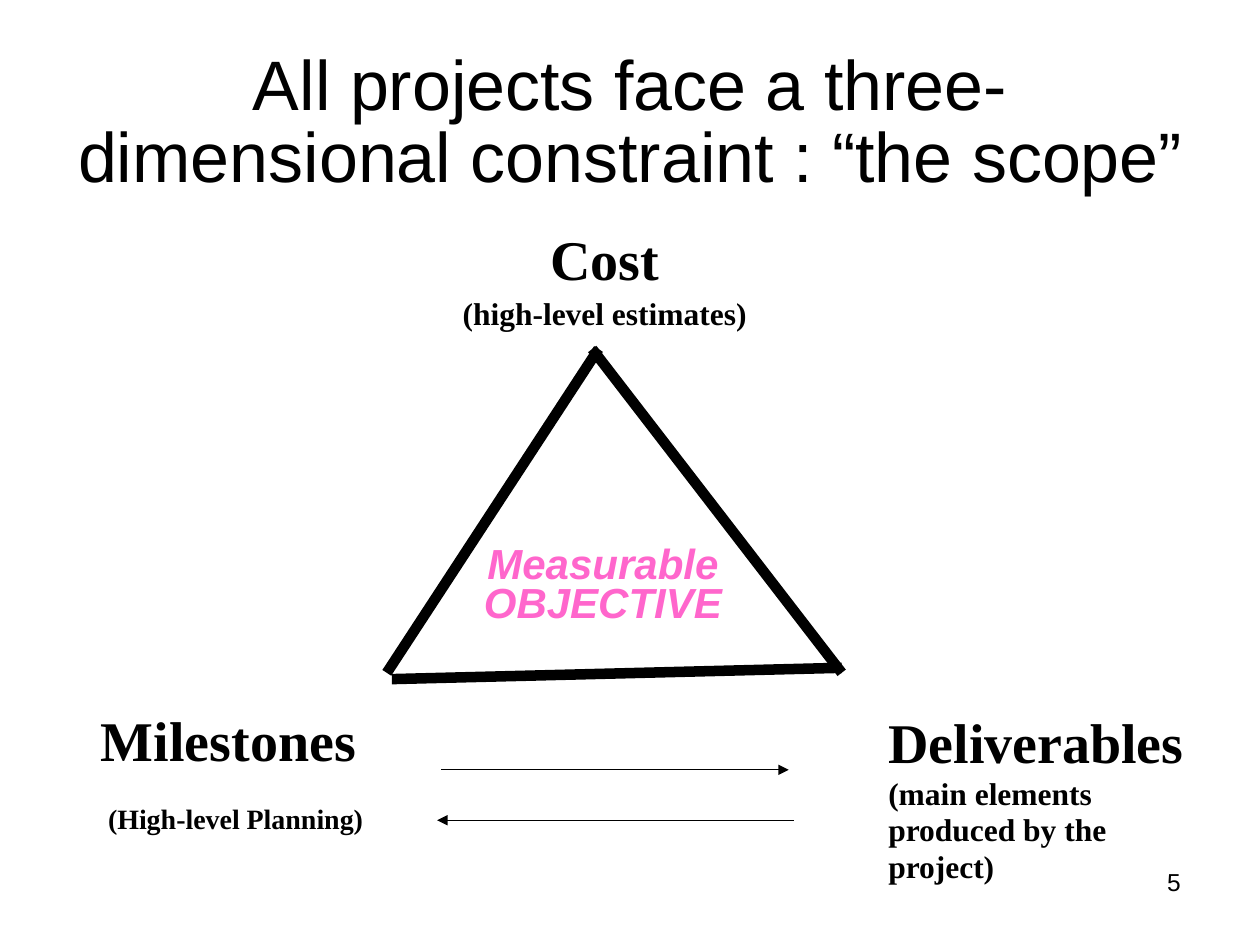
from pptx import Presentation
from pptx.dml.color import RGBColor
from pptx.enum.shapes import MSO_CONNECTOR, MSO_SHAPE
from pptx.enum.text import MSO_ANCHOR, MSO_AUTO_SIZE as AutoSize, PP_ALIGN as Align
from pptx.oxml.ns import qn
from pptx.util import Inches, Pt
from lxml.etree import SubElement

BLACK, PINK = "000000", "FF66CC"
TITLE = "All projects face a three-dimensional constraint : “the scope”"
TITLE_AREA = (0.5, 0.36, 9, 1.26)
TITLE_FORMAT = dict(name="Arial", size=40)
HEADING = dict(name="Times New Roman", size=32, bold=True)
DETAIL = dict(HEADING, size=18)
PLANNING = dict(HEADING, size=16)
OBJECTIVE = dict(name="Arial", size=24, bold=True, italic=True, color=PINK)
NUMBER = dict(name="Arial", size=14)
SNUG, NORMAL = (0.09, 0.04), (0.1, 0.05)

SIDES = [((4.75, 2.77), (3.07, 5.34)), ((3.11, 5.39), (6.68, 5.3)), ((4.7, 2.77), (6.68, 5.34))]
ARROWS = [((3.5, 6.11), (6.26, 6.11)), ((6.3, 6.51), (3.47, 6.51))]

LABELS = [
    dict(area=(3.58, 1.78, 2.44, 0.9), rounded=True, insets=SNUG, align=Align.CENTER, paras=[
        (0.96, [("Cost", HEADING)]),
        (1, [("(high-level estimates)", DETAIL)])]),
    dict(area=(6.96, 5.61, 2.53, 1.47), insets=SNUG, align=Align.LEFT, paras=[
        (0.96, [("Deliverables ", HEADING),
                ("(main elements produced by the project)", DETAIL)])]),
    dict(area=(-0.35, 5.59, 4.33, 1.14), insets=SNUG, align=Align.CENTER, paras=[
        (0.96, [("Milestones", HEADING)]),
        (1, [(" ", HEADING), ("(High-level Planning)", PLANNING)])]),
    dict(area=(3.74, 4.3, 2.09, 0.72), rounded=True, insets=NORMAL, align=Align.CENTER, paras=[
        (0.78, [("Measurable", OBJECTIVE)]),
        (0.78, [("OBJECTIVE", OBJECTIVE)])]),
    dict(area=(7.17, 6.83, 2.3, 0.49), insets=NORMAL, align=Align.RIGHT, paras=[
        (1, [("5", NUMBER)])]),
]


def rgb(value):
    """Turn a hex string into a colour."""
    return RGBColor.from_string(value)


def fill_text(frame, paras, align, insets):
    """Write formatted paragraphs into a text frame."""
    across, down = (Inches(inset) for inset in insets)
    frame.margin_left = frame.margin_right = across
    frame.margin_top = frame.margin_bottom = down
    for index, (spacing, spans) in enumerate(paras):
        para = frame.add_paragraph() if index else frame.paragraphs[0]
        para.alignment, para.line_spacing = align, spacing
        for text, style in spans:
            span = para.add_run()
            span.text = text
            values = dict(style, size=Pt(style["size"]))
            span.font.color.rgb = rgb(values.pop("color", BLACK))
            for key, value in values.items():
                setattr(span.font, key, value)


def add_label(slide, area, paras, align, insets, rounded=False):
    """Add a text box, or an invisible rounded box whose text does not wrap."""
    place = [Inches(value) for value in area]
    if rounded:
        box = slide.shapes.add_shape(MSO_SHAPE.ROUNDED_RECTANGLE, *place)
        box.adjustments[0] = 0.002
        box.shadow.inherit = False
        box.fill.background()
        box.line.fill.background()
    else:
        box = slide.shapes.add_textbox(*place)
    frame = box.text_frame
    frame.word_wrap = not rounded
    frame.vertical_anchor = MSO_ANCHOR.TOP
    frame.auto_size = AutoSize.SHAPE_TO_FIT_TEXT if len(paras[0][1][0][0]) > 1 else AutoSize.NONE
    fill_text(frame, paras, align, insets)


def add_line(slide, start, end, width, arrow=False):
    """Draw a black line, with an arrowhead at its end if asked."""
    points = [Inches(value) for value in start + end]
    line = slide.shapes.add_connector(MSO_CONNECTOR.STRAIGHT, *points)
    line.line.color.rgb = rgb(BLACK)
    line.line.width = Pt(width)
    if arrow:
        SubElement(line.line._get_or_add_ln(), qn("a:tailEnd"), type="triangle")
    SubElement(line._element.spPr, qn("a:effectLst"))


deck = Presentation()
deck.slide_width, deck.slide_height = Inches(10), Inches(7.5)
page = deck.slides.add_slide(deck.slide_layouts[5])

title = page.shapes.title
title.left, title.top, title.width, title.height = (Inches(value) for value in TITLE_AREA)
title.text_frame.auto_size = AutoSize.NONE
title.text_frame.vertical_anchor = MSO_ANCHOR.MIDDLE
fill_text(title.text_frame, [(0.86, [(TITLE, TITLE_FORMAT)])], Align.CENTER, NORMAL)

for start, end in SIDES:
    add_line(page, start, end, 6)
for label in LABELS:
    add_label(page, **label)
for start, end in ARROWS:
    add_line(page, start, end, 0.74, arrow=True)

deck.save("out.pptx")
